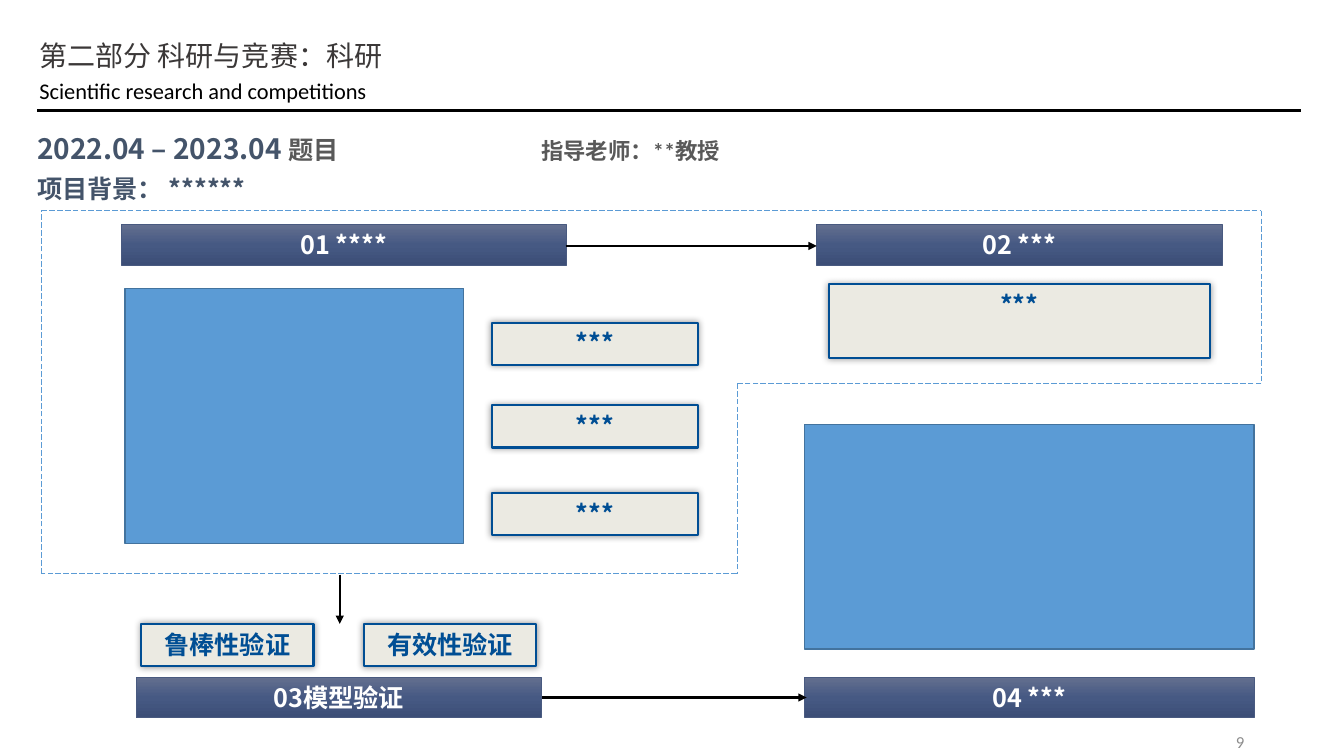
from lxml import etree
from pptx import Presentation
from pptx.dml.color import RGBColor
from pptx.enum import dml, shapes, text
from pptx.oxml import parse_xml
from pptx.oxml.ns import nsdecls, qn
from pptx.util import Inches, Pt

THEME = {
    "latin": "Calibri", "cjk": "Noto Sans CJK SC",
    "title": "3B3838", "ink": "000000", "white": "FFFFFF", "slate": "44546A",
    "grey": "595959", "pale": "8C8C8C", "navy": "004E94", "cream": "EBEAE2",
    "bar_edge": "495A80", "bar_stops": [(0, "636F8F"), (50, "465983"), (100, "3C4E77")],
    "blue": "5B9BD5", "blue_edge": "43739E",
    "large": 20, "medium": 18, "small": 16, "tiny": 12,
}

# Content: a run is (words, font, size, colour, bold)
TITLE = [
    [("第二部分 科研与竞赛：科研", "cjk", "large", "title", False)],
    [("Scientific research and competitions", "latin", "small", "ink", False)],
]
PERIOD = [[
    ("2022.04 – 2023.04 ", "cjk", "large", "slate", True),
    ("题目\t", "latin", "medium", "grey", True),
    ("指导老师：**教授", "latin", "small", "grey", True),
]]
BACKGROUND = [[("项目背景： ******", "cjk", "medium", "slate", True)]]
PAGE_NUMBER = [[("9", "latin", "tiny", "pale", False)]]

# Step bars: words, left, top, width
BAR_HEIGHT = 0.4
BARS = [("01 ****", 1.2, 2.23, 4.42), ("02 ***", 8.1, 2.23, 4.02),
        ("03模型验证", 1.35, 6.72, 4.02), ("04 ***", 7.98, 6.72, 4.46)]
# Tags: words, left, top, width, height
TAGS = [("***", 4.88, top, 2.04, 0.42) for top in (3.2, 4.02, 4.89)]
TAGS += [(words, left, 6.19, 1.71, 0.42)
         for words, left in (("鲁棒性验证", 1.4), ("有效性验证", 3.61))]
TAGS += [("***", 8.22, 2.82, 3.78, 0.73)]
PANELS = [(1.24, 2.86, 3.36, 2.53), (7.98, 4.21, 4.46, 2.23)]
# Corners of the dashed frame, in order
FRAME = [(0.41, 2.09), (12.51, 2.09), (12.51, 3.8), (7.31, 3.8), (7.31, 5.69), (0.41, 5.69)]
ARROWS = [(5.61, 2.44, 8.1, 2.44), (3.37, 5.7, 3.37, 6.19), (5.38, 6.92, 8, 6.92)]


def colour(name):
    return RGBColor.from_string(THEME[name])


def write(box, paragraphs, align=None, spacing=(), after=None):
    frame = box.text_frame
    frame.word_wrap = True
    for index, runs in enumerate(paragraphs):
        para = frame.paragraphs[0] if index == 0 else frame.add_paragraph()
        para.alignment = align or text.PP_ALIGN.LEFT
        if index < len(spacing):
            para.line_spacing = spacing[index]
        if after is not None:
            para.space_after = Pt(after)
        for words, font, size, ink, bold in runs:
            span = para.add_run()
            span.text = words
            span.font.name = THEME[font]
            span.font.size = Pt(THEME[size])
            span.font.bold = bold
            span.font.color.rgb = colour(ink)
            east = etree.SubElement(span.font._element, qn("a:ea"))
            east.set("typeface", THEME["cjk"])
    return frame


def add_text(page, area, paragraphs, **style):
    box = page.shapes.add_textbox(*map(Inches, area))
    return write(box, paragraphs, **style)


def add_box(page, area, fill, edge=None, width=1):
    box = page.shapes.add_shape(shapes.MSO_SHAPE.RECTANGLE, *map(Inches, area))
    box.shadow.inherit = False
    box.fill.solid()
    box.fill.fore_color.rgb = colour(fill)
    if edge:
        box.line.color.rgb = colour(edge)
        box.line.width = Pt(width)
    else:
        box.line.fill.background()
    return box


def add_bar(page, words, left, top, width):
    box = add_box(page, (left, top, width, BAR_HEIGHT), "blue", "bar_edge", 0.5)
    box.fill.gradient()
    box.fill.gradient_angle = 270
    stops = box._element.spPr.find(".//" + qn("a:gsLst"))
    for stop in list(stops):
        stops.remove(stop)
    for position, value in THEME["bar_stops"]:
        stops.append(parse_xml(f'<a:gs {nsdecls("a")} pos="{position * 1000}">'
                               f'<a:srgbClr val="{value}"/></a:gs>'))
    frame = write(box, [[(words, "cjk", "medium", "white", True)]], text.PP_ALIGN.CENTER)
    frame.vertical_anchor = text.MSO_ANCHOR.MIDDLE
    frame.margin_top = frame.margin_bottom = 0


def add_tag(page, words, *area):
    box = add_box(page, area, "cream", "navy", 1.5)
    effects = box._element.spPr.find(qn("a:effectLst"))
    effects.append(parse_xml(
        f'<a:outerShdw {nsdecls("a")} blurRad="{Pt(5)}" dist="0" dir="0" algn="ctr" rotWithShape="0">'
        f'<a:srgbClr val="{THEME["ink"]}"><a:alpha val="40000"/></a:srgbClr></a:outerShdw>'))
    frame = write(box, [[(words, "cjk", "medium", "navy", True)]], text.PP_ALIGN.CENTER)
    frame.vertical_anchor = text.MSO_ANCHOR.TOP


def add_line(page, ends, ink, width, dashed=False, arrow=False):
    line = page.shapes.add_connector(shapes.MSO_CONNECTOR.STRAIGHT, *map(Inches, ends))
    line.line.color.rgb = colour(ink)
    line.line.width = Pt(width)
    if dashed:
        line.line.dash_style = dml.MSO_LINE.LONG_DASH
    if arrow:
        etree.SubElement(line.line._get_or_add_ln(), qn("a:tailEnd")).set("type", "triangle")
    etree.SubElement(line._element.spPr, qn("a:effectLst"))


def main():
    deck = Presentation()
    deck.slide_width, deck.slide_height = Inches(13.33), Inches(7.5)
    page = deck.slides.add_slide(deck.slide_layouts[6])

    # Header
    header = write(add_box(page, (0.09, 0.29, 4.09, 0.83), "white"), TITLE, spacing=(1, 1.2))
    header.vertical_anchor = text.MSO_ANCHOR.MIDDLE
    header.margin_left = Inches(0.3)
    add_line(page, (0.37, 1.1, 12.9, 1.1), "ink", 2)

    # Project lines, with a tab stop for the supervisor
    period = add_text(page, (0.27, 1.16, 13.03, 0.51), PERIOD, spacing=(1.3,), after=3)
    tabs = etree.SubElement(period.paragraphs[0]._p.get_or_add_pPr(), qn("a:tabLst"))
    tab = etree.SubElement(tabs, qn("a:tab"))
    tab.set("pos", str(Inches(5)))
    tab.set("algn", "l")
    add_text(page, (0.27, 1.58, 8.36, 0.47), BACKGROUND, spacing=(1.3,), after=3)

    # Flow
    for bar in BARS:
        add_bar(page, *bar)
    for tag in TAGS:
        add_tag(page, *tag)
    for start, end in zip(FRAME, FRAME[1:] + FRAME[:1]):
        add_line(page, start + end, "blue", 0.5, dashed=True)
    for ends in ARROWS:
        add_line(page, ends, "ink", 1.5, arrow=True)
    for area in PANELS:
        add_box(page, area, "blue", "blue_edge")

    # Page number
    number = add_text(page, (9.33, 7.16, 3.11, 0.4), PAGE_NUMBER, align=text.PP_ALIGN.RIGHT)
    number.vertical_anchor = text.MSO_ANCHOR.MIDDLE

    deck.save("out.pptx")


if __name__ == "__main__":
    main()
